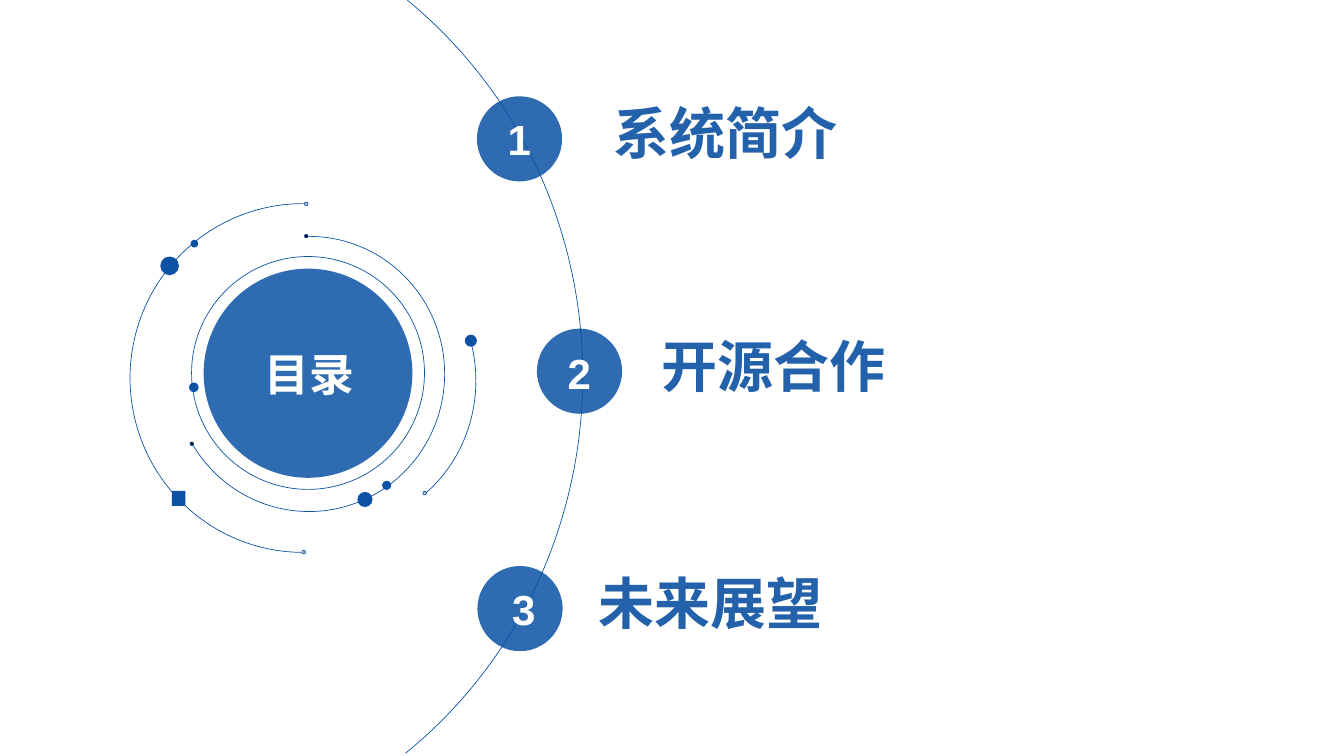
from dataclasses import dataclass

from lxml import etree
from pptx import Presentation
from pptx.dml.color import RGBColor
from pptx.enum import shapes, text
from pptx.oxml import ns
from pptx.util import Inches, Pt


@dataclass(frozen=True)
class Theme:
    blue: str = "0B52A4"
    title_blue: str = "2362AB"
    white: str = "FFFFFF"
    grey: str = "C1C1C1"
    black: str = "000000"
    latin: str = "Arial"
    cjk: str = "Noto Sans CJK SC"
    hub_size: int = 64
    number_size: int = 60
    title_size: int = 80
    disc_alpha: int = 85


THEME = Theme()
KINDS = shapes.MSO_SHAPE


def add_figure(parent, kind, box, fill=None, line=None, alpha=None):
    figure = parent.add_shape(kind, *map(Inches, box))
    figure.shadow.inherit = False
    if fill:
        figure.fill.solid()
        figure.fill.fore_color.rgb = RGBColor.from_string(fill)
        if alpha:
            color = figure.fill._xPr.find(".//" + ns.qn("a:srgbClr"))
            etree.SubElement(color, ns.qn("a:alpha"), val=str(alpha * 1000))
    else:
        figure.fill.background()
    if line:
        figure.line.color.rgb = RGBColor.from_string(line)
        figure.line.width = Pt(1)
    else:
        figure.line.fill.background()
    return figure


def add_arc(parent, box, start, end):
    """Draw an arc clockwise between two angles in degrees."""
    arc = add_figure(parent, KINDS.ARC, box, line=THEME.blue)
    # An adjustment unit is 100000 steps, a degree is 60000
    arc.adjustments[0] = start * 0.6
    arc.adjustments[1] = end * 0.6


def add_text(slide, words, box, *, size, color, font=THEME.latin,
             align=text.PP_ALIGN.LEFT):
    frame = slide.shapes.add_textbox(*map(Inches, box)).text_frame
    frame.word_wrap = True
    frame.auto_size = text.MSO_AUTO_SIZE.SHAPE_TO_FIT_TEXT
    paragraph = frame.paragraphs[0]
    paragraph.alignment = align
    run = paragraph.add_run()
    run.text = words
    run.font.name = font
    run.font.size = Pt(size)
    run.font.bold = True
    run.font.color.rgb = RGBColor.from_string(color)
    east_asian = etree.SubElement(run.font._element, ns.qn("a:ea"))
    east_asian.set("typeface", font)


def add_orbit(slide, left, top, arc_box, angles, ends, end_fill):
    """Group an arc with the small dots at its ends."""
    orbit = slide.shapes.add_group_shape().shapes
    x, y, width, height = arc_box
    add_arc(orbit, (left + x, top + y, width, height), *angles)
    for dx, dy in ends:
        add_figure(orbit, KINDS.OVAL, (left + dx, top + dy, 0.07, 0.07),
                   fill=end_fill, line=THEME.blue)


def add_hub(slide, left, top):
    """Contents disc with its ring, orbits and satellites."""
    # Outer orbits
    add_orbit(slide, left, top, (0, 0.03, 6.86, 6.92), (89.48, 271.02),
              [(3.46, 0), (3.41, 6.91)], THEME.grey)
    add_orbit(slide, left, top, (1.46, 0.67, 5.4, 5.75), (344.06, 52.85),
              [(5.81, 5.74)], THEME.grey)

    # Disc, ring and heading
    add_figure(slide.shapes, KINDS.OVAL, (left + 1.46, top + 1.32, 4.14, 4.15),
               fill=THEME.blue, alpha=THEME.disc_alpha)
    add_figure(slide.shapes, KINDS.OVAL, (left + 1.22, top + 1.08, 4.62, 4.62),
               line=THEME.blue)
    add_text(slide, "目录", (left + 1.6, top + 2.82, 3.9, 1.18),
             size=THEME.hub_size, color=THEME.white,
             align=text.PP_ALIGN.CENTER)

    # Inner orbit
    add_orbit(slide, left, top, (0.86, 0.68, 5.38, 5.46), (268.93, 148.98),
              [(3.46, 0.64), (1.19, 4.76)], THEME.black)

    # Satellites
    for dx, dy, size in [(4.51, 5.75, 0.3), (5, 5.53, 0.18),
                         (6.64, 2.63, 0.24), (1.17, 3.58, 0.19),
                         (0.6, 1.08, 0.37), (1.2, 0.75, 0.15)]:
        add_figure(slide.shapes, KINDS.OVAL, (left + dx, top + dy, size, size),
                   fill=THEME.blue)
    add_figure(slide.shapes, KINDS.RECTANGLE,
               (left + 0.83, top + 5.73, 0.27, 0.3), fill=THEME.blue)


def add_entry(slide, left, top, number, title, number_offset, title_offset):
    """Numbered disc with its chapter title."""
    add_figure(slide.shapes, KINDS.OVAL, (left, top, 1.69, 1.69),
               fill=THEME.blue, alpha=THEME.disc_alpha)
    dx, dy = number_offset
    add_text(slide, str(number), (left + dx, top + dy, 1.56, 1.11),
             size=THEME.number_size, color=THEME.white,
             align=text.PP_ALIGN.CENTER)
    add_text(slide, title, (left + title_offset, top, 7.33, 1.45),
             size=THEME.title_size, color=THEME.title_blue, font=THEME.cjk)


def main():
    deck = Presentation()
    deck.slide_width, deck.slide_height = Inches(26.66), Inches(15)
    slide = deck.slides.add_slide(deck.slide_layouts[6])

    add_hub(slide, 2.58, 4.01)

    # Chapters along the large arc
    add_arc(slide.shapes, (-6.69, -2.03, 18.25, 18.98), 307.13, 53.17)
    chapters = [
        (9.46, 1.91, "系统简介", (0.06, 0.29), 2.61),
        (10.65, 6.52, "开源合作", (0.06, 0.33), 2.37),
        (9.47, 11.23, "未来展望", (0.14, 0.29), 2.31),
    ]
    for number, (left, top, title, number_offset, title_offset) in enumerate(
            chapters, start=1):
        add_entry(slide, left, top, number, title, number_offset, title_offset)

    deck.save("out.pptx")


if __name__ == "__main__":
    main()
